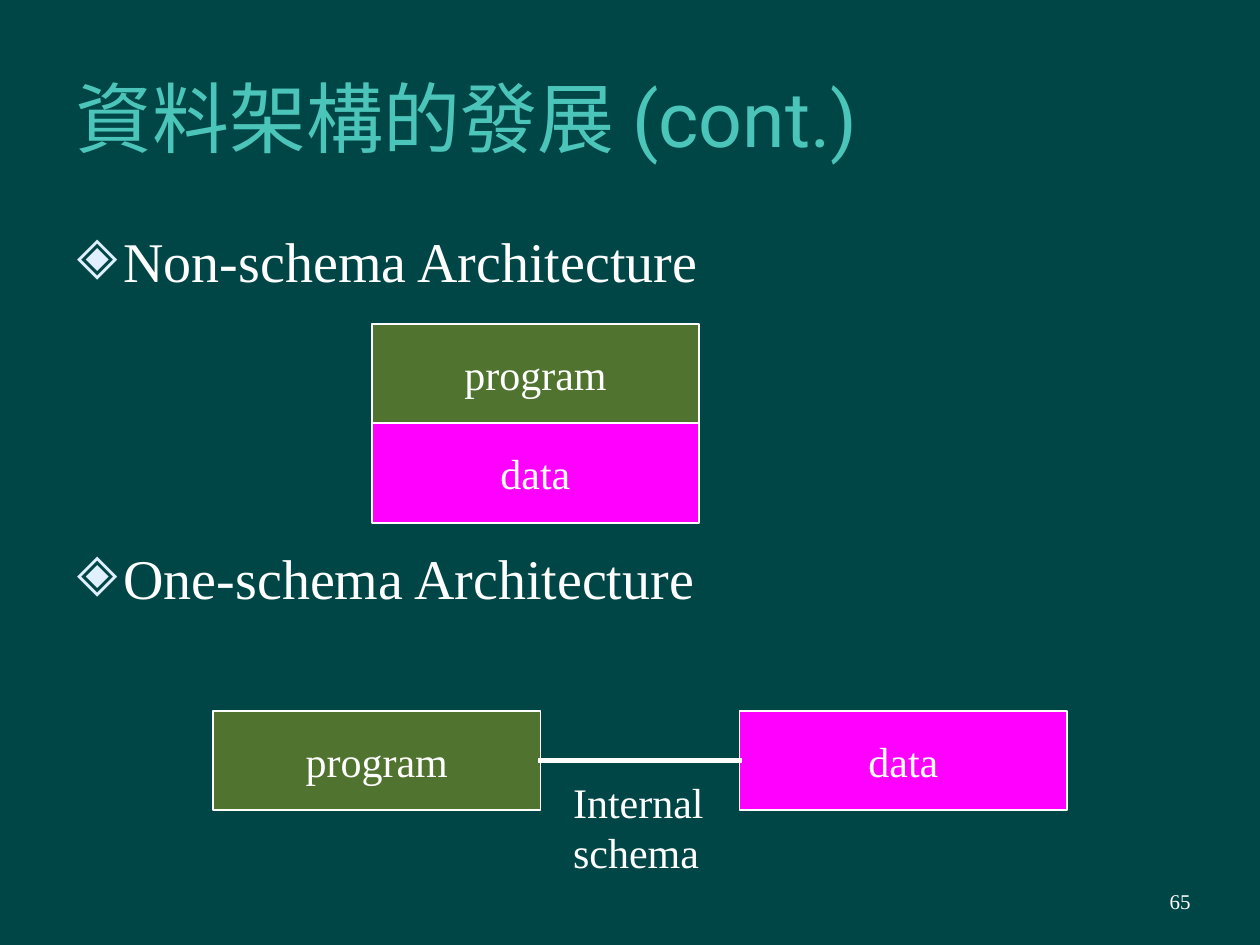
from dataclasses import dataclass

from lxml import etree
from pptx import Presentation
from pptx.dml.color import RGBColor
from pptx.enum.shapes import MSO_CONNECTOR, MSO_SHAPE
from pptx.enum.text import MSO_ANCHOR, MSO_AUTO_SIZE, PP_ALIGN
from pptx.oxml.ns import qn
from pptx.util import Inches, Pt

RECTANGLE = MSO_SHAPE.RECTANGLE
STRAIGHT = MSO_CONNECTOR.STRAIGHT
MIDDLE, TOP = MSO_ANCHOR.MIDDLE, MSO_ANCHOR.TOP
NO_AUTOFIT = MSO_AUTO_SIZE.NONE
LEFT, CENTER, RIGHT = PP_ALIGN.LEFT, PP_ALIGN.CENTER, PP_ALIGN.RIGHT

TEAL = RGBColor(0x00, 0x46, 0x46)
AQUA = RGBColor(0x4B, 0xC5, 0xB9)
ICE = RGBColor(0xE1, 0xF0, 0xFF)
WHITE = RGBColor(0xFF, 0xFF, 0xFF)
GREEN = RGBColor(0x50, 0x74, 0x2F)
MAGENTA = RGBColor(0xFF, 0x00, 0xFF)

SERIF = "Times New Roman"
BOX_WIDTH, BOX_HEIGHT = 2.6, 0.79
STACK_LEFT, STACK_TOP = 2.95, 2.57
PROGRAM_LEFT, DATA_LEFT, ROW_TOP = 1.69, 5.87, 5.64
TOPIC_GAP = 142.5


@dataclass(frozen=True)
class Component:
    label: str
    left: float
    top: float
    fill: RGBColor


COMPONENTS = [
    Component("program", STACK_LEFT, STACK_TOP, GREEN),
    Component("data", STACK_LEFT, STACK_TOP + BOX_HEIGHT, MAGENTA),
    Component("program", PROGRAM_LEFT, ROW_TOP, GREEN),
    Component("data", DATA_LEFT, ROW_TOP, MAGENTA),
]
TOPICS = ["Non-schema Architecture", "One-schema Architecture"]


def place(shape, left: float, top: float, width: float, height: float) -> None:
    shape.left, shape.top = Inches(left), Inches(top)
    shape.width, shape.height = Inches(width), Inches(height)


def write(frame, lines: list[str], size: float, align=LEFT, anchor=TOP,
          font: str = SERIF, color: RGBColor = WHITE) -> None:
    frame.word_wrap = True
    frame.auto_size = NO_AUTOFIT
    frame.vertical_anchor = anchor
    for index, line in enumerate(lines):
        paragraph = frame.add_paragraph() if index else frame.paragraphs[0]
        paragraph.alignment = align
        run = paragraph.add_run()
        run.text = line
        run.font.size = Pt(size)
        run.font.name = font
        run.font.color.rgb = color


def add_bullet(paragraph, symbol: str, color: RGBColor, indent: float) -> None:
    properties = paragraph._p.get_or_add_pPr()
    properties.set("marL", str(Inches(indent)))
    properties.set("indent", str(-Inches(indent)))
    bullet_color = etree.SubElement(properties, qn("a:buClr"))
    etree.SubElement(bullet_color, qn("a:srgbClr")).set("val", str(color))
    etree.SubElement(properties, qn("a:buChar")).set("char", symbol)


def draw_component(slide, component: Component) -> None:
    box = slide.shapes.add_shape(
        RECTANGLE, Inches(component.left), Inches(component.top),
        Inches(BOX_WIDTH), Inches(BOX_HEIGHT))
    box.shadow.inherit = False
    box.fill.solid()
    box.fill.fore_color.rgb = component.fill
    box.line.color.rgb = WHITE
    box.line.width = Pt(1)
    write(box.text_frame, [component.label], 24, CENTER, MIDDLE)


def draw_link(slide, start: float, end: float, height: float) -> None:
    link = slide.shapes.add_connector(
        STRAIGHT, Inches(start), Inches(height), Inches(end), Inches(height))
    link.line.color.rgb = WHITE
    link.line.width = Pt(3)
    link.line._get_or_add_ln().set("cap", "sq")
    etree.SubElement(link._element.spPr, qn("a:effectLst"))


def main() -> None:
    deck = Presentation()
    deck.slide_width, deck.slide_height = Inches(10), Inches(7.5)
    slide = deck.slides.add_slide(deck.slide_layouts[1])
    slide.background.fill.solid()
    slide.background.fill.fore_color.rgb = TEAL

    title = slide.shapes.title
    place(title, 0.5, 0.3, 8.5, 1.25)
    write(title.text_frame, ["資料架構的發展 (cont.)"], 44, LEFT, MIDDLE, "Roboto", AQUA)

    topics = slide.placeholders[1]
    place(topics, 0.5, 1.75, 9, 4.95)
    write(topics.text_frame, TOPICS, 32)
    for index, paragraph in enumerate(topics.text_frame.paragraphs):
        add_bullet(paragraph, "🞛", ICE, 0.38)
        paragraph.space_before = Pt(TOPIC_GAP * index)

    page_number = slide.shapes.add_textbox(
        Inches(7.17), Inches(6.95), Inches(2.33), Inches(0.4))
    write(page_number.text_frame, ["65"], 12, RIGHT, MIDDLE)
    page_number.text_frame.margin_left = Inches(0.05)
    page_number.text_frame.margin_right = Inches(0.05)

    for component in COMPONENTS:
        draw_component(slide, component)
    draw_link(slide, PROGRAM_LEFT + BOX_WIDTH, DATA_LEFT, ROW_TOP + BOX_HEIGHT / 2)

    schema = slide.shapes.add_textbox(
        Inches(4.45), Inches(6.11), Inches(1.32), Inches(0.9))
    write(schema.text_frame, ["Internal", "schema"], 24)

    deck.save("out.pptx")


if __name__ == "__main__":
    main()
